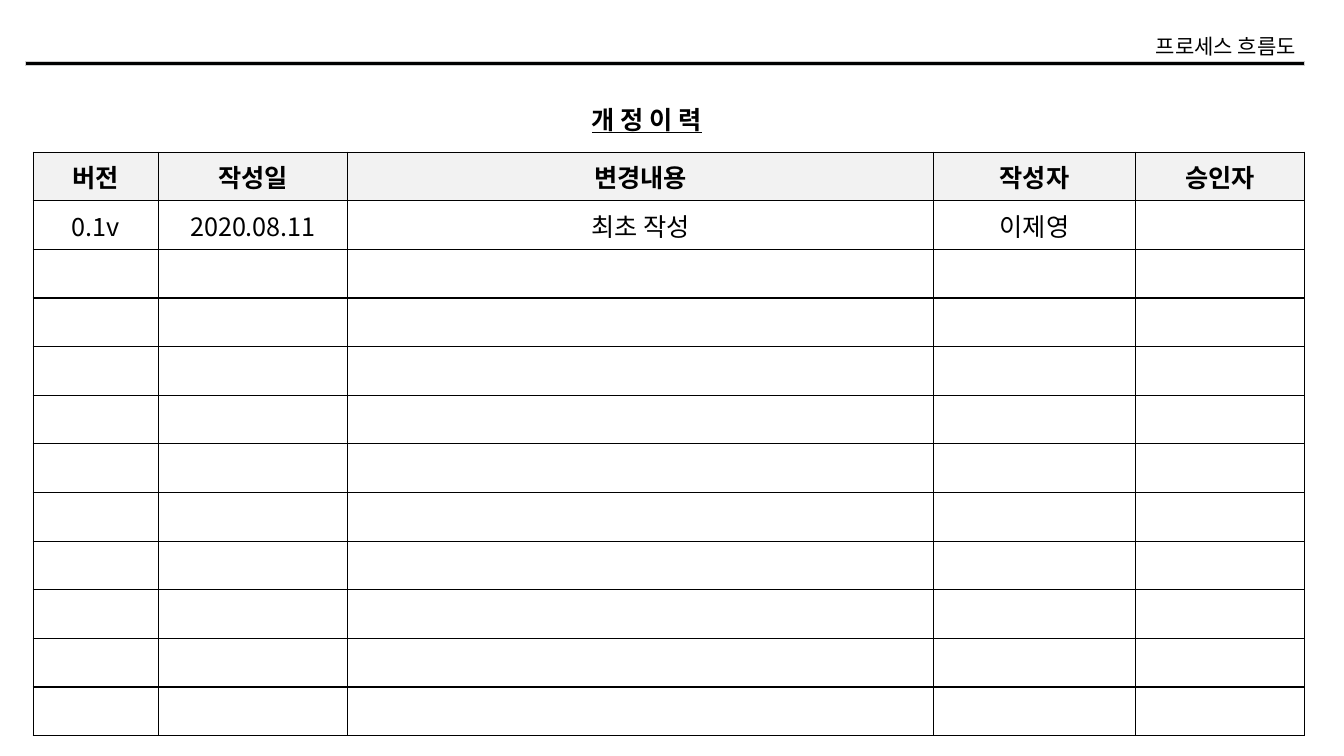
from lxml.etree import SubElement
from pptx import Presentation
from pptx.dml.color import RGBColor
from pptx.enum.shapes import MSO_SHAPE
from pptx.enum.text import MSO_ANCHOR, MSO_AUTO_SIZE, PP_ALIGN
from pptx.oxml.ns import qn
from pptx.util import Inches, Pt

FONT = "Noto Sans CJK KR"
BLACK, WHITE, HEADER_GREY, LINE_GREY = "000000", "FFFFFF", "F2F2F2", "D0CECE"


def color(value):
    return RGBColor.from_string(value)


def write(text_frame, text, alignment, **font_format):
    paragraph = text_frame.paragraphs[0]
    paragraph.alignment = alignment
    run = paragraph.add_run()
    run.text = text
    for name, value in {"name": FONT, **font_format}.items():
        setattr(run.font, name, value)
    run.font.color.rgb = color(BLACK)
    SubElement(run.font._element, qn("a:ea"), typeface=FONT)


presentation = Presentation()
presentation.slide_width = Inches(13.33)
presentation.slide_height = Inches(7.5)
slide = presentation.slides.add_slide(presentation.slide_layouts[5])

# Header rule
rule = slide.shapes.add_shape(
    MSO_SHAPE.RECTANGLE, Inches(0.25), Inches(0.61), Inches(12.69), Inches(0.04))
rule.shadow.inherit = False
rule.fill.solid()
rule.fill.fore_color.rgb = color(BLACK)
rule.line.color.rgb = color(LINE_GREY)
rule.line.width = Pt(0.3)

# Document name
document_name = slide.shapes.add_textbox(
    Inches(11.2), Inches(0.28), Inches(1.75), Inches(0.35))
document_name.text_frame.word_wrap = False
write(document_name.text_frame, "프로세스 흐름도", PP_ALIGN.RIGHT, size=Pt(15))

# Title
title = slide.shapes.title
title.left, title.top = Inches(5.77), Inches(0.98)
title.width, title.height = Inches(1.67), Inches(0.4)
frame_format = {"auto_size": MSO_AUTO_SIZE.NONE, "word_wrap": True,
                "vertical_anchor": MSO_ANCHOR.TOP}
for name, value in frame_format.items():
    setattr(title.text_frame, name, value)
write(title.text_frame, "개 정 이 력", PP_ALIGN.LEFT,
      size=Pt(18), bold=True, underline=True)

# Revision history table
column_widths = [1.24, 1.88, 5.81, 2, 1.68]
entries = [
    ["버전", "작성일", "변경내용", "작성자", "승인자"],
    ["0.1v", "2020.08.11", "최초 작성", "이제영", ""],
]
row_count = 12
table = slide.shapes.add_table(
    row_count, len(column_widths),
    Inches(0.33), Inches(1.51), Inches(12.62), Inches(5.79)).table
for column, width in zip(table.columns, column_widths):
    column.width = Inches(width)

for row_index, row in enumerate(table.rows):
    is_header = row_index == 0
    for column_index, cell in enumerate(row.cells):
        cell.vertical_anchor = MSO_ANCHOR.MIDDLE

        # Borders come before the fill in the cell properties
        properties = cell._tc.get_or_add_tcPr()
        for side in ("a:lnL", "a:lnR", "a:lnT", "a:lnB"):
            border = SubElement(properties, qn(side), w=str(Pt(1)))
            border_fill = SubElement(border, qn("a:solidFill"))
            SubElement(border_fill, qn("a:srgbClr"), val=BLACK)
        cell.fill.solid()
        cell.fill.fore_color.rgb = color(HEADER_GREY if is_header else WHITE)

        if row_index < len(entries) and entries[row_index][column_index]:
            write(cell.text_frame, entries[row_index][column_index],
                  PP_ALIGN.CENTER, size=Pt(18), bold=is_header)

presentation.save("out.pptx")
